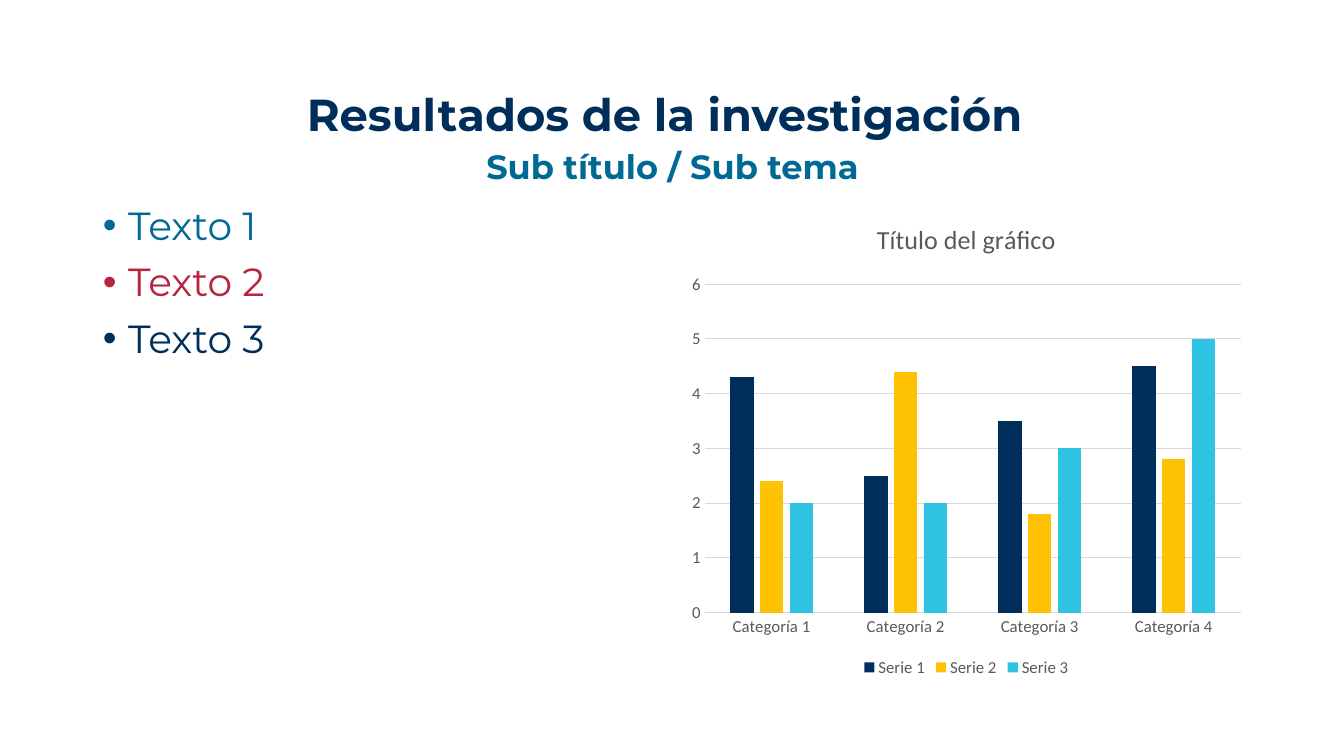
from lxml import etree
from pptx import Presentation
from pptx.chart.data import CategoryChartData
from pptx.dml.color import RGBColor
from pptx.enum.chart import XL_CHART_TYPE as ChartType
from pptx.enum.chart import XL_LEGEND_POSITION as LegendPosition
from pptx.enum.chart import XL_TICK_MARK as TickMark
from pptx.enum.text import MSO_ANCHOR as Anchor
from pptx.enum.text import MSO_AUTO_SIZE as AutoSize
from pptx.enum.text import PP_ALIGN as Align
from pptx.oxml.ns import qn
from pptx.util import Inches, Pt

NAVY, TEAL, RED = "002E5B", "006994", "B7253D"
YELLOW, CYAN = "FFC203", "2FC4E4"
GRAY, LIGHT_GRAY = "595959", "D9D9D9"

TOPICS = [("Texto 1", TEAL), ("Texto 2", RED), ("Texto 3", NAVY)]
CATEGORIES = [f"Categoría {number}" for number in range(1, 5)]
SERIES = [
    ("Serie 1", (4.3, 2.5, 3.5, 4.5), NAVY),
    ("Serie 2", (2.4, 4.4, 1.8, 2.8), YELLOW),
    ("Serie 3", (2, 2, 3, 5), CYAN),
]


def rgb(color):
    return RGBColor.from_string(color)


def set_font(font, size, color, name="Calibri", bold=False):
    font.size, font.name, font.bold = Pt(size), name, bold
    font.color.rgb = rgb(color)


def write(paragraph, text, *, size, color, bold=False, align=None,
          line_spacing=None, space_before=0):
    run = paragraph.add_run()
    run.text = text
    set_font(run.font, size, color, "Montserrat", bold)
    paragraph.alignment = align
    paragraph.line_spacing = line_spacing
    paragraph.space_before = Pt(space_before)


def place(shape, left, top, width, height):
    shape.left, shape.top = Inches(left), Inches(top)
    shape.width, shape.height = Inches(width), Inches(height)


def add_bullet(paragraph, color):
    properties = paragraph._p.get_or_add_pPr()
    properties.set("marL", str(Inches(0.25)))
    properties.set("indent", str(Inches(-0.25)))
    bullet_color = etree.SubElement(properties, qn("a:buClr"))
    etree.SubElement(bullet_color, qn("a:srgbClr"), val=color)
    etree.SubElement(properties, qn("a:buFont"), typeface="Arial")
    etree.SubElement(properties, qn("a:buChar"), char="•")


def add_subtitle(slide, text):
    subtitle = slide.shapes.add_textbox(
        Inches(3.06), Inches(1.4), Inches(7.22), Inches(0.5))
    frame = subtitle.text_frame
    frame.word_wrap = True
    frame.auto_size = AutoSize.SHAPE_TO_FIT_TEXT
    write(frame.paragraphs[0], text, size=24, color=TEAL, bold=True,
          align=Align.CENTER)


def fill_title(title, text):
    place(title, 1.13, 0.84, 10.93, 0.65)
    frame = title.text_frame
    frame.auto_size = AutoSize.NONE
    frame.vertical_anchor = Anchor.MIDDLE
    write(frame.paragraphs[0], text, size=32, color=NAVY, bold=True,
          align=Align.CENTER, line_spacing=0.9)


def fill_topics(body, topics):
    place(body, 0.92, 2, 5.67, 4.76)
    frame = body.text_frame
    frame.auto_size = AutoSize.NONE
    for index, (text, color) in enumerate(topics):
        paragraph = frame.add_paragraph() if index else frame.paragraphs[0]
        write(paragraph, text, size=28, color=color, line_spacing=0.9,
              space_before=10)
        add_bullet(paragraph, color)


def style_line(line, color):
    line.color.rgb = rgb(color)
    line.width = Pt(0.75)


def style_axes(chart):
    for axis in (chart.category_axis, chart.value_axis):
        axis.major_tick_mark = axis.minor_tick_mark = TickMark.NONE
        set_font(axis.tick_labels.font, 12, GRAY)
    style_line(chart.category_axis.format.line, LIGHT_GRAY)
    values = chart.value_axis
    values.minimum_scale, values.maximum_scale, values.major_unit = 0, 6, 1
    values.format.line.fill.background()
    style_line(values.major_gridlines.format.line, LIGHT_GRAY)


def add_results_chart(slide, title):
    results = CategoryChartData()
    results.categories = CATEGORIES
    for name, values, _ in SERIES:
        results.add_series(name, values)
    chart = slide.shapes.add_chart(
        ChartType.COLUMN_CLUSTERED, Inches(6.75), Inches(2),
        Inches(5.67), Inches(4.76), results).chart
    set_font(chart.font, 10, "000000")

    # Heading and legend
    heading = chart.chart_title.text_frame
    heading.text = title
    set_font(heading.paragraphs[0].runs[0].font, 18.6, GRAY)
    chart.chart_title.include_in_layout = False
    chart.has_legend = True
    chart.legend.position = LegendPosition.BOTTOM
    chart.legend.include_in_layout = False
    set_font(chart.legend.font, 12, GRAY)

    # Columns
    style_axes(chart)
    columns = chart.plots[0]
    columns.vary_by_categories = False
    columns.gap_width, columns.overlap = 219, -27
    for series, (_, _, color) in zip(columns.series, SERIES):
        series.format.fill.solid()
        series.format.fill.fore_color.rgb = rgb(color)


def main():
    presentation = Presentation()
    presentation.slide_width = Inches(13.33)
    presentation.slide_height = Inches(7.5)
    slide = presentation.slides.add_slide(presentation.slide_layouts[1])

    # Headings
    add_subtitle(slide, "Sub título / Sub tema")
    fill_title(slide.shapes.title, "Resultados de la investigación")

    # Topics on the left, chart on the right
    fill_topics(slide.placeholders[1], TOPICS)
    add_results_chart(slide, "Título del gráfico")
    presentation.save("out.pptx")


if __name__ == "__main__":
    main()
